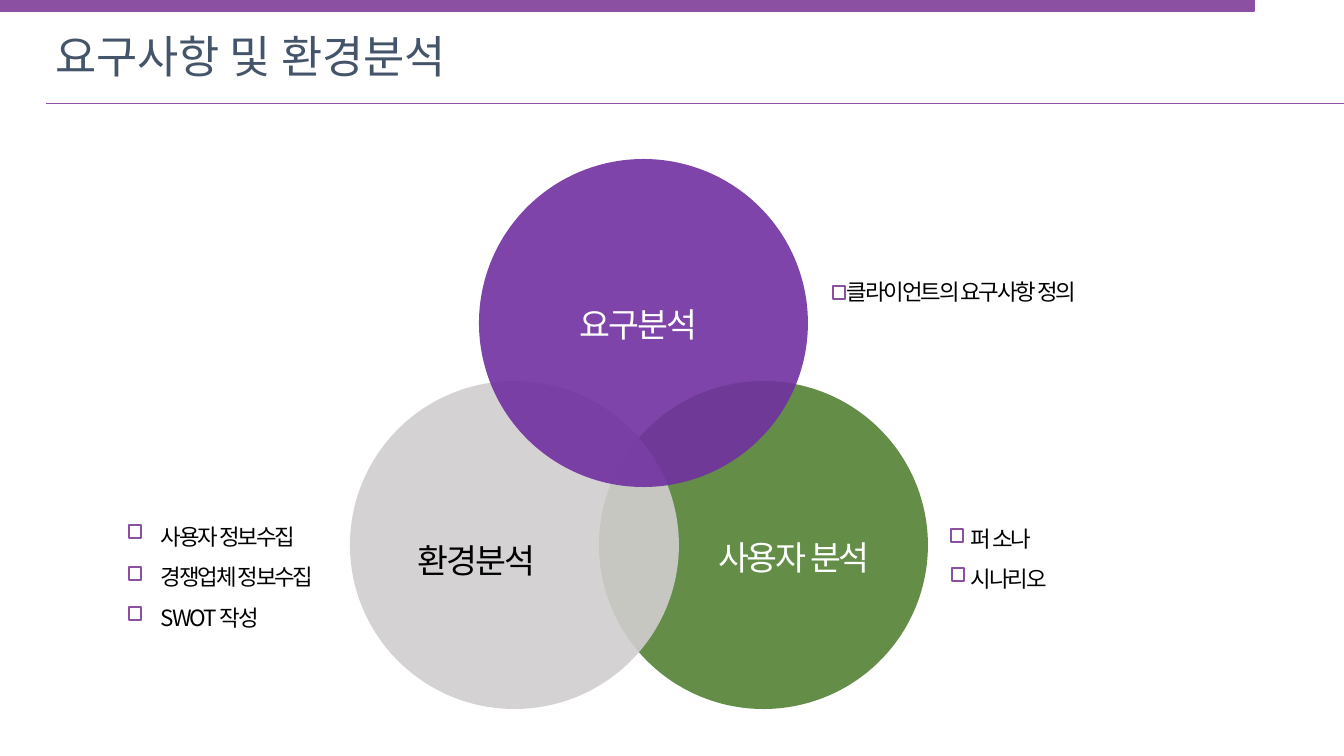
from lxml import etree
from pptx import Presentation
from pptx.dml.color import RGBColor
from pptx.enum.shapes import MSO_CONNECTOR, MSO_SHAPE
from pptx.enum.text import MSO_ANCHOR, PP_ALIGN
from pptx.oxml.ns import qn
from pptx.util import Pt

RECTANGLE, OVAL = MSO_SHAPE.RECTANGLE, MSO_SHAPE.OVAL
STRAIGHT = MSO_CONNECTOR.STRAIGHT
MIDDLE, TOP = MSO_ANCHOR.MIDDLE, MSO_ANCHOR.TOP
LEFT, CENTER, JUSTIFY = PP_ALIGN.LEFT, PP_ALIGN.CENTER, PP_ALIGN.JUSTIFY
FONT = "Noto Sans CJK KR"
PURPLE, WHITE, BLACK = "8B50A2", "FFFFFF", "000000"
PAGE_WIDTH, PAGE_HEIGHT = 1344, 756
LINE_HEIGHT = 1.2


def px(*lengths):
    """Turn pixels into a list of EMU lengths."""
    return [round(length * 914400 / 100.8) for length in lengths]


def color(value):
    """Turn a hex string into a colour."""
    return RGBColor.from_string(value)


def write(frame, lines, size, ink, align, spacing=1, tracking=0):
    """Fill a text frame with evenly formatted paragraphs."""
    frame.text = "\n".join(lines)
    for para in frame.paragraphs:
        para.alignment = align
        para.line_spacing = Pt(round(size * LINE_HEIGHT * spacing))
        para.font.size = Pt(size)
        para.font.name = FONT
        para.font.color.rgb = color(ink)
        properties = para._p.pPr.find(qn("a:defRPr"))
        properties.set("spc", str(tracking))
        etree.SubElement(properties, qn("a:ea")).set("typeface", FONT)


def add_text(page, box, lines, size, ink, align, spacing=1, wrap=True):
    """Add a text box with tight tracking."""
    frame = page.shapes.add_textbox(*px(*box)).text_frame
    frame.word_wrap = wrap
    frame.vertical_anchor = TOP
    write(frame, lines, size, ink, align, spacing, tracking=-150)


def add_figure(page, kind, box, fill, outline=None, opacity=100):
    """Add a flat preset shape."""
    shape = page.shapes.add_shape(kind, *px(*box))
    shape.shadow.inherit = False
    shape.fill.solid()
    shape.fill.fore_color.rgb = color(fill)
    if outline:
        shape.line.color.rgb = color(outline)
        shape.line.width = Pt(1)
    else:
        shape.line.fill.background()
    if opacity < 100:
        tint = shape._element.spPr.find(qn("a:solidFill"))[0]
        etree.SubElement(tint, qn("a:alpha")).set("val", str(opacity * 1000))


def add_header(page, box, title):
    """Place the top bar, the title and the rule below it."""
    left, top, width, height = box
    add_figure(page, RECTANGLE, (left, top, 1254, 11), PURPLE, PURPLE)
    holder = page.shapes.title
    holder.left, holder.top, holder.width, holder.height = px(
        left + 45, top + 24, 476, 64)
    holder.text_frame.vertical_anchor = MIDDLE
    write(holder.text_frame, [title], 32, "44546A", LEFT)
    rule = page.shapes.add_connector(
        STRAIGHT, *px(left + 46, top + height, left + width, top + height))
    rule.line.color.rgb = color(PURPLE)
    rule.line.width = Pt(0.5)
    etree.SubElement(rule._element.spPr, qn("a:effectLst"))


def add_venn(page, box, circles):
    """Place overlapping circles, then their labels in front."""
    left, top = box[:2]
    for x, y, fill, *_ in circles:
        add_figure(page, OVAL, (left + x, top + y, 329, 328), fill, opacity=90)
    for *_, label, ink, x, y, width in circles:
        add_text(page, (left + x, top + y, width, 50), [label], 24, ink,
                 CENTER, wrap=False)


def add_checklist(page, box, lines, marks, spacing=1):
    """Place a list and its check boxes, given as offsets from the box."""
    add_text(page, box, lines, 16, BLACK, JUSTIFY, spacing)
    for x, y in marks:
        add_figure(page, RECTANGLE, (box[0] + x, box[1] + y, 12, 13),
                   WHITE, PURPLE)


def build():
    """Build the deck."""
    deck = Presentation()
    deck.slide_width, deck.slide_height = px(PAGE_WIDTH, PAGE_HEIGHT)
    page = deck.slides.add_slide(deck.slide_layouts[5])
    add_header(page, (0, 0, PAGE_WIDTH, 103), "요구사항 및 환경분석")
    add_venn(page, (350, 159, 578, 550), [
        (249, 222, "548235", "사용자 분석", WHITE, 349, 373, 190),
        (0, 222, "D0CECE", "환경분석", BLACK, 53, 376, 147),
        (129, 0, "7030A0", "요구분석", WHITE, 215, 140, 147),
    ])
    add_checklist(page, (151, 504, 276, 132),
                  ["사용자 정보수집", "경쟁업체 정보수집", "SWOT 작성"],
                  [(-22, 21), (-22, 63), (-22, 103)], spacing=1.5)
    add_checklist(page, (961, 506, 276, 92), ["퍼 소나", "시나리오"],
                  [(-10, 23), (-9, 62)], spacing=1.5)
    add_checklist(page, (837, 273, 307, 37), ["클라이언트의 요구사항 정의"],
                  [(-4, 13)])
    deck.save("out.pptx")


build()
